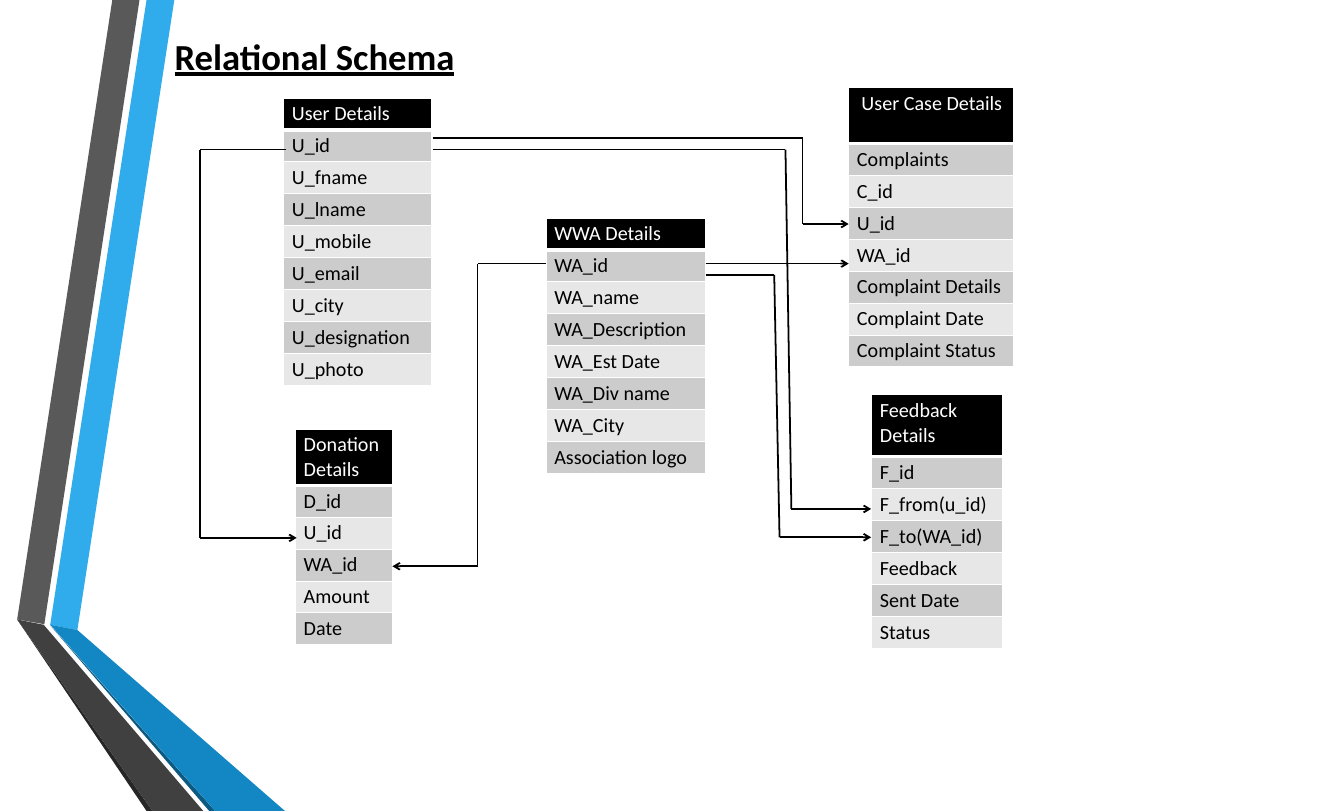
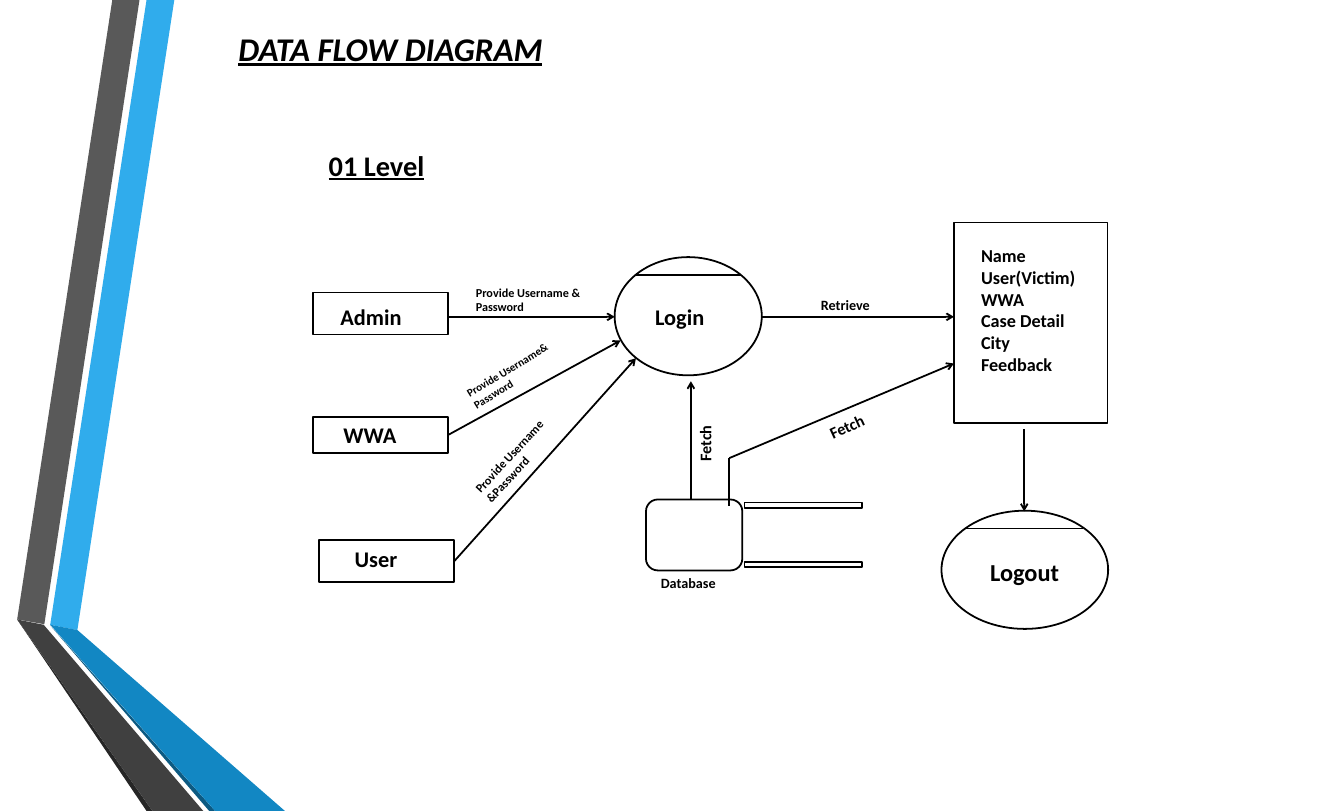
from dataclasses import dataclass, field
from itertools import pairwise

from lxml import etree
from pptx import Presentation
from pptx.dml.color import RGBColor
from pptx.enum.shapes import MSO_CONNECTOR, MSO_SHAPE
from pptx.enum.text import MSO_ANCHOR, MSO_AUTO_SIZE, PP_ALIGN
from pptx.oxml.ns import qn
from pptx.util import Pt

RECT, ROUNDED = MSO_SHAPE.RECTANGLE, MSO_SHAPE.ROUNDED_RECTANGLE
ELLIPSE, BAR = MSO_SHAPE.OVAL, MSO_SHAPE.MATH_MINUS
STRAIGHT = MSO_CONNECTOR.STRAIGHT
TOP, MIDDLE = MSO_ANCHOR.TOP, MSO_ANCHOR.MIDDLE
LEFT, CENTER = PP_ALIGN.LEFT, PP_ALIGN.CENTER
FIXED_SIZE = MSO_AUTO_SIZE.NONE

BLACK, WHITE = "000000", "FFFFFF"
ROW_FILLS = ("CCCCCC", "E7E7E7")
FONT_NAME = "Calibri"
SLIDE_WIDTH, SLIDE_HEIGHT = 1137, 686
TITLE_ONLY = 5
ROW_HEIGHT = 27
INSETS = (7.2, 3.6, 7.2, 3.6)
CELL_INSETS = (7, 3, 7, 3)
STROKE = 1.5

Point = tuple[float, float]
Box = tuple[float, float, float, float]

BOLD = {"bold": True}
HEADING = {"bold": True, "underline": True}
ITALIC_HEADING = {**HEADING, "italic": True}


@dataclass
class Band:
    colour: str
    outline: list[Point]


@dataclass
class Entity:
    left: float
    top: float
    width: float
    name: str
    fields: list[str]
    header_height: float = ROW_HEIGHT


@dataclass
class Route:
    points: list[Point]
    arrow: bool = True


@dataclass
class Node:
    preset: int
    box: Box
    text: str = ""
    size: float = 18.9
    insets: Box = INSETS
    anchor: int = MIDDLE
    stroke: float = STROKE


@dataclass
class Label:
    text: str
    box: Box
    size: float
    rotation: float = 0
    indent: float = INSETS[0]
    align: int = LEFT
    style: dict = field(default_factory=lambda: BOLD)


BANDS = [
    Band("30ACEC", [(42.5, 528.5), (65.5, 533), (147.5, 0), (124, 0)]),
    Band("595959", [(118, 0), (95, 0), (14.5, 524), (37.5, 528)]),
    Band("262626", [(14.5, 524), (124, 686), (129, 686)]),
    Band("0C5A82", [(42.5, 529), (177, 686), (182, 686)]),
    Band("1287C3", [(42.5, 528.5), (182, 686), (241, 686), (65.5, 533)]),
    Band("404040", [(172, 686), (37, 528.5), (14.5, 524), (129, 686)]),
]

ENTITIES = [
    Entity(240, 83, 125, "User Details",
           ["U_id", "U_fname", "U_lname", "U_mobile", "U_email", "U_city",
            "U_designation", "U_photo"]),
    Entity(462, 184.5, 135, "WWA Details",
           ["WA_id", "WA_name", "WA_Description", "WA_Est Date",
            "WA_Div name", "WA_City", "Association logo"]),
    Entity(718, 74, 139.5, " User Case Details",
           ["Complaints", "C_id", "U_id", "WA_id", "Complaint Details",
            "Complaint Date", "Complaint Status"], 47.5),
    Entity(737.5, 334, 111, "Feedback Details",
           ["F_id", "F_from(u_id)", "F_to(WA_id)", "Feedback", "Sent Date",
            "Status"], 52.5),
    Entity(250, 363, 82, "Donation Details",
           ["D_id", "U_id", "WA_id", "Amount", "Date"], 47.5),
]

KEY_ROUTES = [
    Route([(242, 126.5), (169, 126.5), (169, 455), (251, 455)]),
    Route([(366, 116.5), (679, 116.5), (679, 189.5), (718, 189.5)]),
    Route([(366, 126.5), (664.5, 126.5), (669.5, 430.5), (737, 430.5)]),
    Route([(462, 223), (404, 223), (404, 479), (332, 479)]),
    Route([(597, 232.5), (655, 232.5), (659.5, 454.5), (737, 454.5)]),
    Route([(597, 223), (718, 223)]),
]

NODES = [
    Node(RECT, (265, 247.5, 114, 35.5), "Admin", insets=(23, 5, 0, 0), stroke=1.25),
    Node(RECT, (265, 353, 114, 30), "WWA", insets=(25.5, 0, 0, 0)),
    Node(RECT, (270, 457, 114, 35.5), "User", insets=(30, 0, 0, 5)),
    Node(ELLIPSE, (520, 217.5, 124.5, 100), "Login", insets=(16, 0, 0, 0)),
    Node(RECT, (807, 188, 130, 170),
         "Name\nUser(Victim)\nWWA\nCase Detail\nCity\nFeedback", 15.4,
         (23, 18.5, 0, 0), TOP, 1.25),
    Node(ROUNDED, (546.5, 422.5, 81.5, 60)),
    Node(BAR, (612, 417.5, 135.5, 20)),
    Node(BAR, (612, 467.5, 135.5, 20)),
    Node(ELLIPSE, (796.5, 432, 141, 100), "Logout", 20.6, (20.5, 3, 0, 0)),
]

FLOWS = [
    Route([(379, 268), (520, 268)]),
    Route([(379, 368), (525, 288)]),
    Route([(384.5, 474.5), (538, 303)]),
    Route([(644.5, 268), (807, 268)]),
    Route([(584.5, 422.5), (584.5, 322.5)]),
    Route([(617, 428), (617, 387.5), (807, 307.5)]),
    Route([(866.5, 363), (866.5, 432.5)]),
    Route([(538, 232.5), (626.5, 232.5)], arrow=False),
    Route([(816.5, 447), (916.5, 447)], arrow=False),
]

LABELS = [
    Label("01 Level", (271, 121.5, 230, 55), 24, style=HEADING),
    Label("Provide Username & Password", (395.5, 237.5, 103, 32.5), 10.3),
    Label("Provide Username& Password", (387, 299.5, 103, 37.5), 9.4, -31.4),
    Label("Provide Username &Password", (391, 372, 96, 39.5), 10.3, -47.1),
    Label("Retrieve", (671, 247.5, 103, 21.5), 12, indent=23.5),
    Label("Fetch", (557.5, 359.5, 85, 31), 13.7, -90, align=CENTER),
    Label("Fetch", (673, 345.5, 103, 31), 13.7, -24.7, indent=29),
    Label("Database", (546.5, 482.5, 81.5, 21.5), 12, indent=12.5),
]


def paint(fill, colour: str) -> None:
    fill.solid()
    fill.fore_color.rgb = RGBColor.from_string(colour)


def assign(target, values: dict) -> None:
    for attribute, value in values.items():
        setattr(target, attribute, value)


def points(lengths) -> list:
    return [Pt(length) for length in lengths]


def margins(insets: Box) -> dict:
    sides = ("margin_left", "margin_top", "margin_right", "margin_bottom")
    return dict(zip(sides, points(insets)))


def write(frame, text: str, size: float, style: dict, colour: str = BLACK,
          align: int = LEFT) -> None:
    """Fill a text frame, one paragraph for each line of text."""
    frame.text = text
    for paragraph in frame.paragraphs:
        paragraph.alignment = align
        for run in paragraph.runs:
            assign(run.font, {"name": FONT_NAME, "size": Pt(size), **style})
            paint(run.font.fill, colour)


def set_frame(frame, insets: Box, anchor: int) -> None:
    assign(frame, {"word_wrap": True, "auto_size": FIXED_SIZE,
                   "vertical_anchor": anchor, **margins(insets)})


def add_bands(layout, slide) -> None:
    """Outline the bands on a slide, then move them behind the layout's parts."""
    for index, band in enumerate(BANDS):
        start, *rest = [points(point) for point in band.outline]
        builder = slide.shapes.build_freeform(*start)
        builder.add_line_segments(rest, close=True)
        shape = builder.convert_to_shape()
        shape.shadow.inherit = False
        paint(shape.fill, band.colour)
        shape.line.fill.background()
        shape.element.nvSpPr.cNvPr.set("id", str(100 + index))
        layout.shapes.element.insert(2 + index, shape.element)


def add_title(slide, text: str, box: Box, size: float, style: dict) -> None:
    title = slide.shapes.title
    assign(title, dict(zip(("left", "top", "width", "height"), points(box))))
    set_frame(title.text_frame, INSETS, TOP)
    write(title.text_frame, text, size, style)


def add_borders(cell, widths: dict) -> None:
    properties = cell._tc.get_or_add_tcPr()
    for side, width in widths.items():
        border = etree.SubElement(properties, qn(f"a:{side}"), w=str(Pt(width)))
        solid = etree.SubElement(border, qn("a:solidFill"))
        etree.SubElement(solid, qn("a:srgbClr"), val=WHITE)


def add_entity(slide, entity: Entity) -> None:
    rows = [entity.name, *entity.fields]
    height = entity.header_height + ROW_HEIGHT * len(entity.fields)
    box = points((entity.left, entity.top, entity.width, height))
    table = slide.shapes.add_table(len(rows), 1, *box).table
    table.horz_banding = False
    for index, text in enumerate(rows):
        header = index == 0
        table.rows[index].height = Pt(entity.header_height if header else ROW_HEIGHT)
        cell = table.cell(index, 0)
        add_borders(cell, {"lnL": 1, "lnR": 1, "lnT": 1, "lnB": 3 if header else 1})
        paint(cell.fill, BLACK if header else ROW_FILLS[(index - 1) % 2])
        assign(cell, {"vertical_anchor": TOP, **margins(CELL_INSETS)})
        write(cell.text_frame, text, 17, {"bold": False}, WHITE if header else BLACK)


def add_route(slide, route: Route) -> None:
    """Draw a chain of straight connectors, with the arrowhead on the last."""
    for start, end in pairwise(route.points):
        connector = slide.shapes.add_connector(STRAIGHT, *points(start + end))
        connector.line.width = Pt(STROKE)
        paint(connector.line.fill, BLACK)
        properties = connector.element.spPr
        if route.arrow and end == route.points[-1]:
            etree.SubElement(properties.find(qn("a:ln")), qn("a:tailEnd"), type="arrow")
        etree.SubElement(properties, qn("a:effectLst"))


def add_node(slide, node: Node) -> None:
    shape = slide.shapes.add_shape(node.preset, *points(node.box))
    shape.shadow.inherit = False
    paint(shape.fill, WHITE)
    paint(shape.line.fill, BLACK)
    shape.line.width = Pt(node.stroke)
    if node.text:
        set_frame(shape.text_frame, node.insets, node.anchor)
        write(shape.text_frame, node.text, node.size, BOLD)


def add_label(slide, label: Label) -> None:
    caption = slide.shapes.add_textbox(*points(label.box))
    caption.rotation = label.rotation
    set_frame(caption.text_frame, (label.indent, *INSETS[1:]), TOP)
    write(caption.text_frame, label.text, label.size, label.style, align=label.align)


def main() -> None:
    deck = Presentation()
    assign(deck, {"slide_width": Pt(SLIDE_WIDTH), "slide_height": Pt(SLIDE_HEIGHT)})
    layout = deck.slide_layouts[TITLE_ONLY]

    schema = deck.slides.add_slide(layout)
    add_bands(layout, schema)
    add_title(schema, "Relational Schema", (140.5, 25, 287, 45), 31, HEADING)
    for entity in ENTITIES:
        add_entity(schema, entity)
    for route in KEY_ROUTES:
        add_route(schema, route)

    data_flow = deck.slides.add_slide(layout)
    add_title(data_flow, "DATA FLOW DIAGRAM", (194.5, 20, 292, 41), 28, ITALIC_HEADING)
    for node in NODES:
        add_node(data_flow, node)
    for flow in FLOWS:
        add_route(data_flow, flow)
    for label in LABELS:
        add_label(data_flow, label)

    deck.save("out.pptx")


if __name__ == "__main__":
    main()
